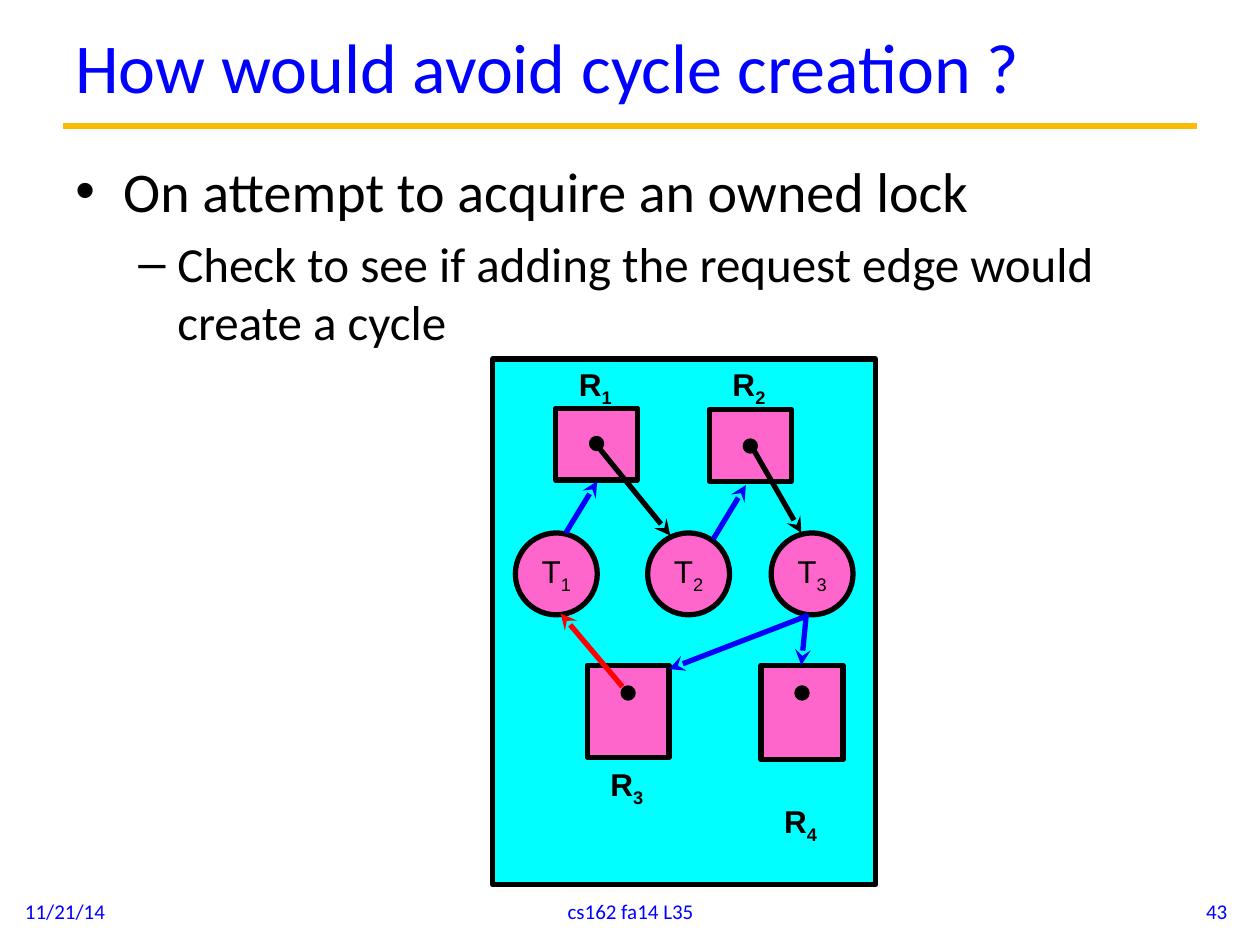
from typing import NamedTuple, Optional

import pptx
import pptx.dml.color
import pptx.enum.shapes
import pptx.enum.text
import pptx.oxml.ns
import pptx.oxml.xmlchemy
import pptx.util
from lxml import etree
from pptx.dml.color import RGBColor
from pptx.enum.shapes import MSO_SHAPE
from pptx.enum.text import MSO_ANCHOR, PP_ALIGN
from pptx.util import Inches

BLUE = RGBColor(0x00, 0x00, 0xFF)
BLACK = RGBColor(0x00, 0x00, 0x00)
RED = RGBColor(0xFF, 0x00, 0x00)
GOLD = RGBColor(0xFB, 0xBA, 0x03)
CYAN = RGBColor(0x00, 0xFF, 0xFF)
PINK = RGBColor(0xFF, 0x66, 0xCC)

NODE_W = 0.65
DOT = 0.08
LABEL_W, LABEL_H = 0.48, 0.4


class Thread(NamedTuple):
    number: str
    x: float
    y: float = 4.23


class Resource(NamedTuple):
    number: str
    x: float
    y: float
    h: float
    dot_y: float
    label_y: float


class Edge(NamedTuple):
    x1: float
    y1: float
    x2: float
    y2: float
    color: RGBColor


class Label(NamedTuple):
    text: str
    x: float
    y: float
    w: float
    h: float
    size: int
    align: PP_ALIGN = PP_ALIGN.LEFT


class Bullet(NamedTuple):
    text: str
    char: str
    level: int
    size: int
    margin: float
    hang: float


THREADS = [Thread("1", 4.09), Thread("2", 5.14), Thread("3", 6.12)]
RESOURCES = [
    Resource("1", 4.41, 3.24, 0.57, 3.48, 2.85),
    Resource("2", 5.63, 3.25, 0.57, 3.5, 2.85),
    Resource("3", 4.66, 5.28, 0.73, 5.46, 6.02),
    Resource("4", 6.04, 5.28, 0.75, 5.46, 6.32),
]
EDGES = [
    Edge(4.49, 4.23, 4.74, 3.82, BLUE),
    Edge(4.75, 3.55, 5.32, 4.25, BLACK),
    Edge(5.66, 4.28, 5.92, 3.85, BLUE),
    Edge(5.97, 3.55, 6.36, 4.23, BLACK),
    Edge(6.4, 4.87, 6.36, 5.28, BLUE),
    Edge(6.4, 4.89, 5.31, 5.31, BLUE),
    Edge(4.94, 5.45, 4.45, 4.87, RED),
]
LABELS = [
    Label("How would avoid cycle creation ?", 0.5, 0.04, 9, 0.96, 40),
    Label("11/21/14", 0.1, 7.03, 2.33, 0.4, 12),
    Label("cs162 fa14 L35", 3.42, 7.03, 3.17, 0.4, 12, PP_ALIGN.CENTER),
    Label("43", 7.51, 7.03, 2.33, 0.4, 12, PP_ALIGN.RIGHT),
]
BULLETS = [
    Bullet("On attempt to acquire an owned lock", "•", 0, 32, 0.38, 0.38),
    Bullet("Check to see if adding the request edge would create a cycle",
           "–", 1, 28, 0.81, 0.31),
]


def set_font(p, name: str, size: int, color: RGBColor, bold: bool = False) -> None:
    p.font.name = name
    p.font.size = pptx.util.Pt(size)
    p.font.color.rgb = color
    p.font.bold = bold


def add_label(shapes, label: Label) -> None:
    sp = shapes.add_textbox(*map(Inches, label[1:5]))
    tf = sp.text_frame
    tf.word_wrap = True
    tf.vertical_anchor = MSO_ANCHOR.MIDDLE
    p = tf.paragraphs[0]
    p.text = label.text
    p.alignment = label.align
    set_font(p, "Calibri", label.size, BLUE)


def add_bullets(shapes, bullets: list[Bullet]) -> None:
    sp = shapes.add_textbox(Inches(0.5), Inches(1.19), Inches(9), Inches(1.84))
    tf = sp.text_frame
    tf.word_wrap = True
    for i, b in enumerate(bullets):
        p = tf.add_paragraph() if i else tf.paragraphs[0]
        p.text = b.text
        p.level = b.level
        p.space_before = pptx.util.Pt(round(b.size * 0.2, 1))
        set_font(p, "Calibri", b.size, BLACK)
        pPr = p._p.get_or_add_pPr()
        pPr.set("marL", str(Inches(b.margin)))
        pPr.set("indent", str(-Inches(b.hang)))
        bu_font = etree.Element(pptx.oxml.ns.qn("a:buFont"), typeface="Arial")
        bu_char = etree.Element(pptx.oxml.ns.qn("a:buChar"), char=b.char)
        pPr.find(pptx.oxml.ns.qn("a:defRPr")).addprevious(bu_font)
        bu_font.addnext(bu_char)


def add_node(shapes, kind: MSO_SHAPE, x: float, y: float, w: float, h: float,
             fill: RGBColor):
    sp = shapes.add_shape(kind, *map(Inches, (x, y, w, h)))
    sp.shadow.inherit = False
    sp.fill.solid()
    sp.fill.fore_color.rgb = fill
    sp.line.color.rgb = BLACK
    sp.line.width = pptx.util.Pt(3)
    return sp


def write_subscripted(tf, letter: str, number: str, bold: bool,
                      align: Optional[PP_ALIGN] = None) -> None:
    tf.word_wrap = False
    p = tf.paragraphs[0]
    p.alignment = align
    set_font(p, "Arial", 18, BLACK, bold)
    p.add_run().text = letter
    r = p.add_run()
    r.text = number
    r._r.get_or_add_rPr().set("baseline", "-25000")


def add_thread(shapes, t: Thread) -> None:
    sp = add_node(shapes, MSO_SHAPE.OVAL, t.x, t.y, NODE_W, NODE_W, PINK)
    sp.text_frame.vertical_anchor = MSO_ANCHOR.MIDDLE
    write_subscripted(sp.text_frame, "T", t.number, False, PP_ALIGN.CENTER)


def add_resource(shapes, res: Resource) -> None:
    group = shapes.add_group_shape().shapes
    add_node(group, MSO_SHAPE.RECTANGLE, res.x, res.y, NODE_W, res.h, PINK)
    dot_x = res.x + (NODE_W - DOT) / 2
    add_node(group, MSO_SHAPE.OVAL, dot_x, res.dot_y, DOT, DOT, BLACK)
    label_x = res.x + (NODE_W - LABEL_W) / 2
    sp = group.add_textbox(*map(Inches, (label_x, res.label_y, LABEL_W, LABEL_H)))
    write_subscripted(sp.text_frame, "R", res.number, True)


def add_line(shapes, e: Edge, width: float = 3, arrow: bool = True) -> None:
    line = shapes.add_connector(pptx.enum.shapes.MSO_CONNECTOR.STRAIGHT,
                                *map(Inches, e[:4]))
    line.line.color.rgb = e.color
    line.line.width = pptx.util.Pt(width)
    if arrow:
        etree.SubElement(line.get_or_add_ln(), pptx.oxml.ns.qn("a:tailEnd"),
                         type="stealth")
    etree.SubElement(line._element.spPr, pptx.oxml.ns.qn("a:effectLst"))


def main() -> None:
    prs = pptx.Presentation()
    prs.slide_width, prs.slide_height = Inches(10), Inches(7.5)
    s = prs.slides.add_slide(prs.slide_layouts[6])
    add_line(s.shapes, Edge(0.5, 1, 9.5, 1, GOLD), 3.75, arrow=False)
    for label in LABELS:
        add_label(s.shapes, label)
    add_bullets(s.shapes, BULLETS)
    add_node(s.shapes, MSO_SHAPE.RECTANGLE, 3.91, 2.85, 3.04, 4.17, CYAN)
    for thread in THREADS:
        add_thread(s.shapes, thread)
    for resource in RESOURCES:
        add_resource(s.shapes, resource)
    for edge in EDGES:
        add_line(s.shapes, edge)
    prs.save("out.pptx")


if __name__ == "__main__":
    main()
